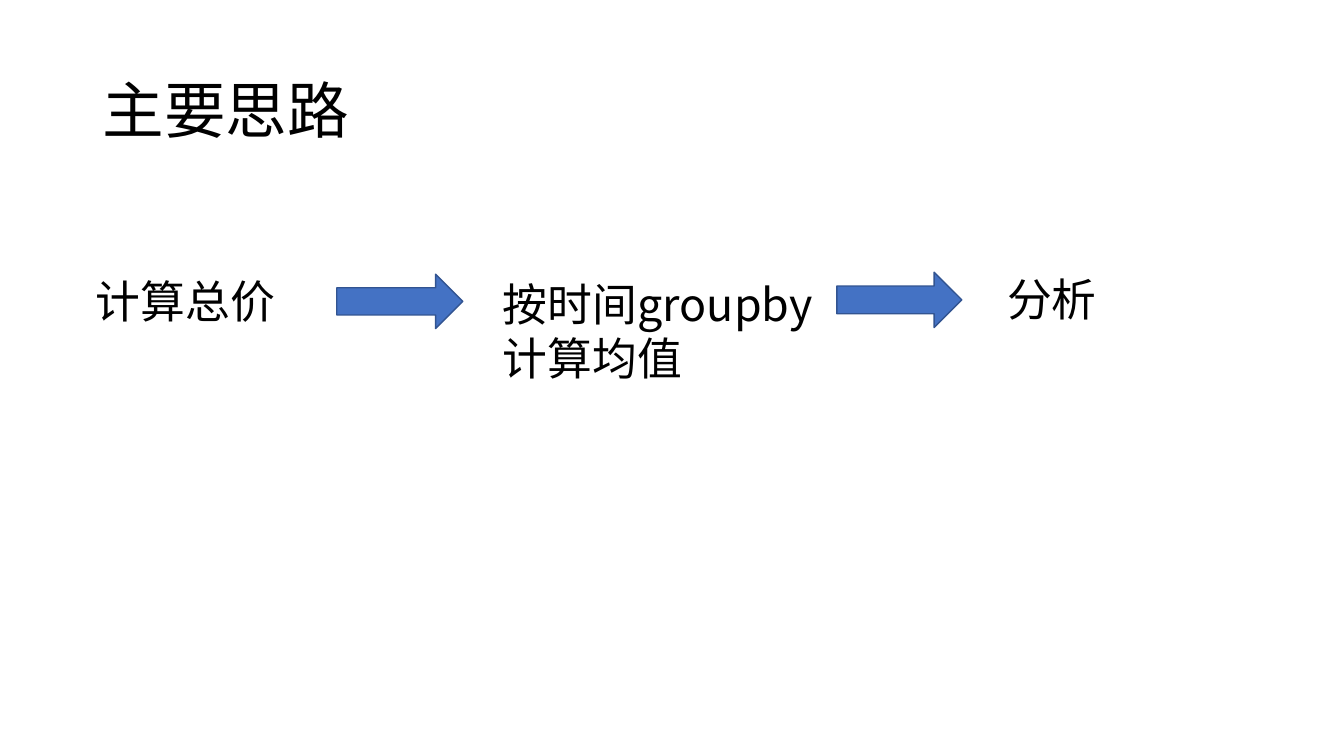
from lxml.etree import SubElement
from pptx import Presentation
from pptx.dml.color import RGBColor
from pptx.enum.lang import MSO_LANGUAGE_ID as Lang
from pptx.enum.shapes import MSO_SHAPE as Shape
from pptx.enum.text import MSO_ANCHOR as Anchor, MSO_AUTO_SIZE as AutoSize
from pptx.oxml.ns import qn
from pptx.util import Inches, Pt

COLORS = {"text": "000000", "arrow": "4472C4", "outline": "325491"}


class FlowSlide:
    font = "Noto Sans CJK SC"

    def __init__(self, slide):
        self.slide = slide

    def color(self, name):
        return RGBColor.from_string(COLORS[name])

    def text(self, words, box, size, anchor=Anchor.TOP, spacing=None, grow=True):
        frame = self.slide.shapes.add_textbox(*map(Inches, box)).text_frame
        frame.word_wrap = True
        frame.auto_size = AutoSize.SHAPE_TO_FIT_TEXT if grow else AutoSize.NONE
        frame.vertical_anchor = anchor
        frame.text = words
        paragraph = frame.paragraphs[0]
        if spacing:
            paragraph.line_spacing = spacing
        for run in paragraph.runs:
            run.font.size = Pt(size)
            run.font.name = self.font
            run.font.language_id = Lang.SIMPLIFIED_CHINESE
            run.font.color.rgb = self.color("text")
            east_asian = SubElement(run.font._element, qn("a:ea"))
            east_asian.set("typeface", self.font)

    def arrow(self, box):
        arrow = self.slide.shapes.add_shape(Shape.RIGHT_ARROW, *map(Inches, box))
        arrow.shadow.inherit = False
        arrow.fill.solid()
        arrow.fill.fore_color.rgb = self.color("arrow")
        arrow.line.color.rgb = self.color("outline")
        arrow.line.width = Pt(1)


def main():
    deck = Presentation()
    deck.slide_width, deck.slide_height = Inches(13.33), Inches(7.5)
    page = FlowSlide(deck.slides.add_slide(deck.slide_layouts[6]))

    page.text("主要思路", (0.92, 0.4, 11.5, 1.45), 44, Anchor.MIDDLE, 0.9, grow=False)
    steps = [
        ("计算总价", (0.85, 2.67, 3.45, 0.64)),
        ("按时间groupby计算均值", (4.89, 2.7, 3.33, 1.18)),
        ("分析", (9.89, 2.65, 3.29, 0.64)),
    ]
    for step, box in steps:
        page.text(step, box, 32)
    for box in [(3.34, 2.72, 1.25, 0.54), (8.3, 2.7, 1.24, 0.55)]:
        page.arrow(box)

    deck.save("out.pptx")


if __name__ == "__main__":
    main()
